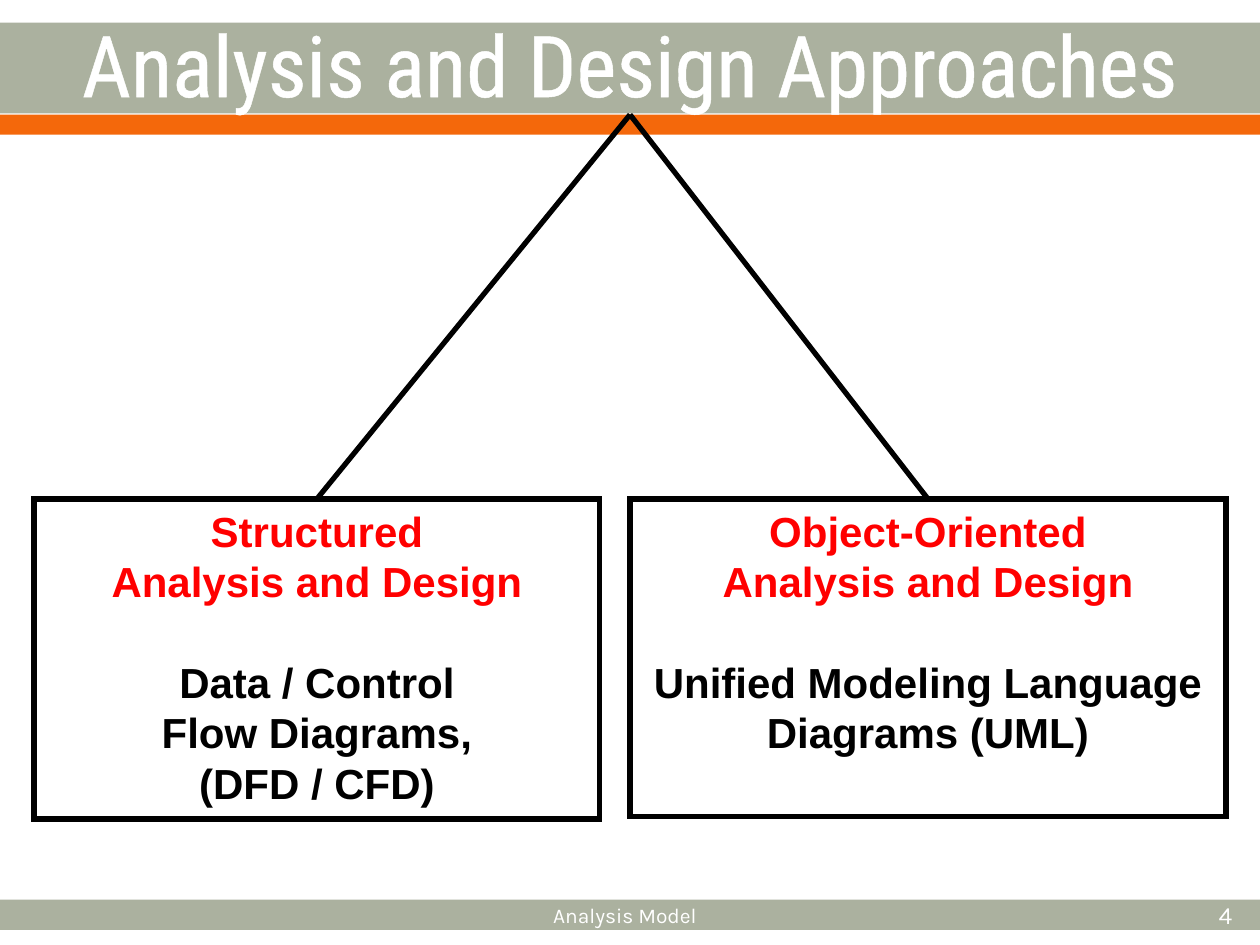
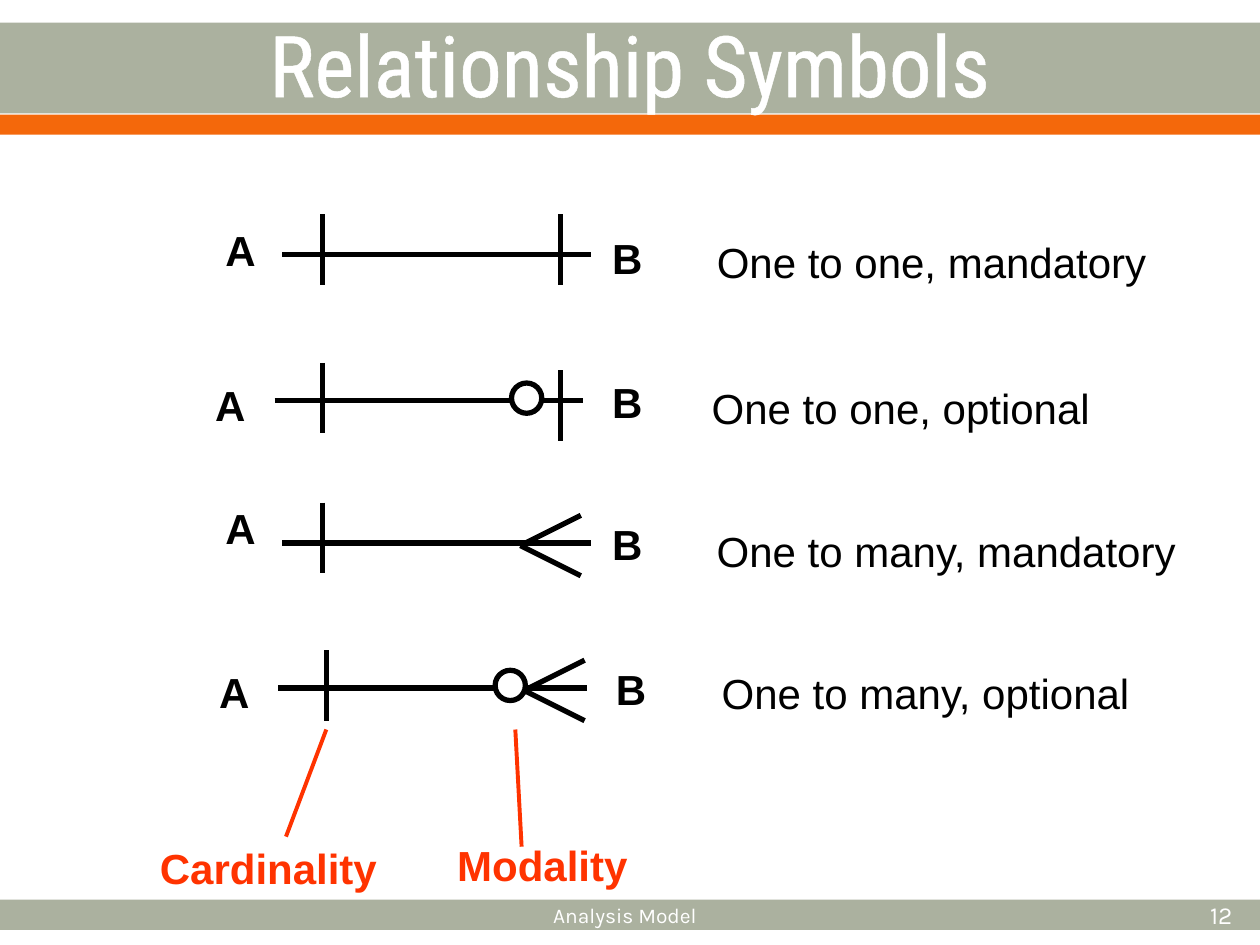
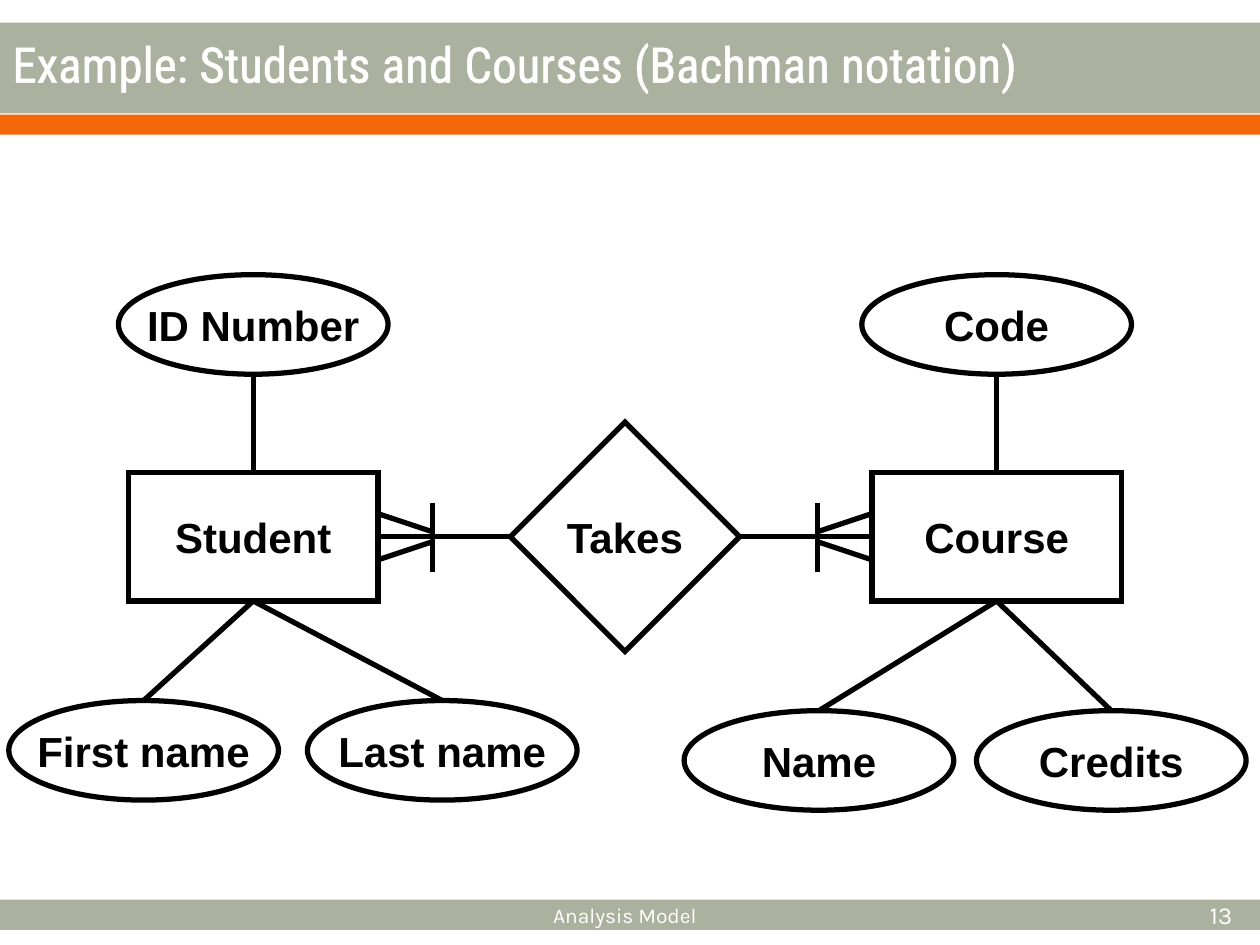
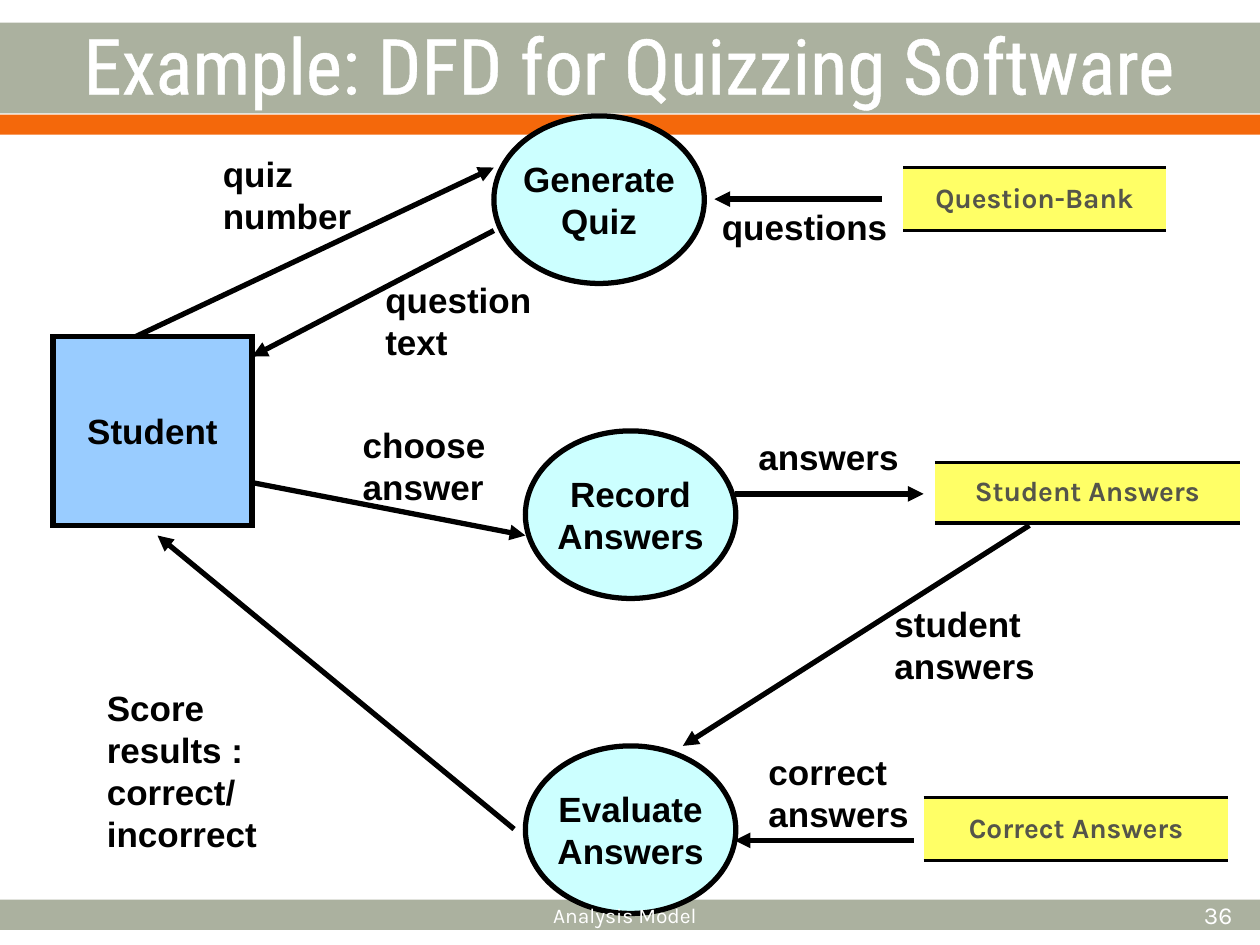
"""Build four slides on analysis models."""
import dataclasses
import pptx
import pptx.dml.color
import pptx.enum.shapes
import pptx.enum.text
import pptx.oxml
import pptx.oxml.ns
import pptx.util
from lxml import etree

Inches, Pt = pptx.util.Inches, pptx.util.Pt
KIND = pptx.enum.shapes.MSO_SHAPE
ALIGN = pptx.enum.text.PP_ALIGN
ANCHOR = pptx.enum.text.MSO_ANCHOR
FIT = pptx.enum.text.MSO_AUTO_SIZE


@dataclasses.dataclass(frozen=True)
class Theme:
    sage: str = "ABB19F"
    orange: str = "F4680B"
    white: str = "FFFFFF"
    black: str = "000000"
    red: str = "FF0000"
    note: str = "FF3300"
    blue: str = "99CCFF"
    aqua: str = "CCFFFF"
    yellow: str = "FFFF66"
    gray: str = "55554A"
    head: str = "Roboto Condensed"
    body: str = "Arial"
    foot: str = "Karla"
    big: float = 24
    mid: float = 20
    line: float = 3
    thin: float = 2.25


T = Theme()
BOLD = dict(name=T.body, size=Pt(T.big), bold=True)
PLAIN = BOLD | dict(bold=False)
FLOW = BOLD | dict(size=Pt(T.mid))
STORE = dict(name=T.foot, size=Pt(16), bold=True)

BANDS = [
    ((0, 7.14, 10, 0.24), T.sage),
    ((0, 0.11, 10, 1.59), T.white),
    ((0, 0.18, 10, 0.72), T.sage),
    ((0, 0.91, 10, 0.16), T.orange),
]
TITLE = (0, 0.19, 10, 0.62)

WAYS = [
    ((0.27, 3.96, 4.49, 2.54),
     ["Structured\nAnalysis and Design", "Data / Control", "Flow Diagrams,", "(DFD / CFD)"]),
    ((5, 3.96, 4.73, 2.52),
     ["Object-Oriented\nAnalysis and Design", "Unified Modeling Language", "Diagrams (UML)"]),
]

LINKS = [
    dict(text="One to one, mandatory", at=(5.59, 1.83, 3.61, 0.5), line=(2.24, 2.02),
         a=(1.69, 1.73), b=(4.76, 1.8), bars=[(2.56, 1.7), (4.45, 1.7)]),
    dict(text="One to one, optional", at=(5.55, 2.99, 3.2, 0.5), line=(2.18, 3.18),
         a=(1.61, 2.96), b=(4.76, 2.94), bars=[(2.56, 2.88), (4.45, 2.94)], ring=(4.06, 3.04)),
    dict(text="One to many, mandatory", at=(5.59, 4.12, 3.87, 0.5), line=(2.24, 4.31),
         a=(1.69, 3.94), b=(4.76, 4.07), bars=[(2.56, 3.99)], fork=(4.13, 4.33)),
    dict(text="One to many, optional", at=(5.63, 5.25, 3.46, 0.5), line=(2.21, 5.46),
         a=(1.64, 5.24), b=(4.79, 5.22), bars=[(2.59, 5.16)], ring=(3.93, 5.32),
         fork=(4.16, 5.48)),
]
NOTES = [
    ("Cardinality", (1.17, 6.64, 1.92, 0.5), (2.59, 5.79), (2.27, 6.64)),
    ("Modality", (3.53, 6.61, 1.55, 0.5), (4.09, 5.79), (4.14, 6.72)),
]

ENTITIES = [
    ("Student", 2.01, 1, "ID Number", 5.56, [("First name", 1.14), ("Last name", 3.51)]),
    ("Course", 7.91, -1, "Code", 5.64, [("Name", 6.5), ("Credits", 8.82)]),
]

STEPS = [
    (["Generate", "Quiz"], 3.92, 0.92),
    (["Record", "Answers"], 4.17, 3.42),
    (["Evaluate", "Answers"], 4.17, 5.92),
]
STORES = [
    ("Question-Bank", (7.17, 1.33, 2.08, 0.5)),
    ("Student Answers", (7.42, 3.67, 2.42, 0.48)),
    ("Correct Answers", (7.33, 6.33, 2.42, 0.5)),
]
FLOWS = [
    (["question\ntext"], (2.96, 2.16, 1.4, 0.77), (3.92, 1.83), (2, 2.83)),
    (["quiz", "number"], (1.67, 1.16, 1.26, 0.77), (1.08, 2.67), (3.92, 1.33)),
    (["questions"], (5.63, 1.58, 1.55, 0.43), (7, 1.58), (5.67, 1.58)),
    (["answers"], (5.92, 3.41, 1.35, 0.43), (5.83, 3.92), (7.33, 3.92)),
    (["choose", "answer"], (2.78, 3.31, 1.22, 0.77), (2, 3.83), (4.17, 4.25)),
    (["Score results :", "correct/", "incorrect"], (0.75, 5.4, 2.1, 1.43),
     (4.08, 6.58), (1.25, 4.25)),
    (["correct", "answers"], (6, 5.91, 1.35, 0.77), (7.25, 6.67), (5.83, 6.67)),
    (["student", "answers"], (7, 4.73, 1.35, 0.77), (8.17, 4.17), (5.42, 5.92)),
]


def rgb(hue):
    return pptx.dml.color.RGBColor.from_string(hue)


def put(obj, **vals):
    for key, val in vals.items():
        setattr(obj, key, val)


def sub(root, tag, **vals):
    return etree.SubElement(root, pptx.oxml.ns.qn(tag), **vals)


def ink(para, font, hue):
    for run in para.runs:
        put(run.font, **font)
        run.font.color.rgb = rgb(hue)


def write(frame, lines, font, hue=T.black, align=ALIGN.LEFT, **form):
    put(frame, **form)
    for i, line in enumerate(lines):
        para = frame.add_paragraph() if i else frame.paragraphs[0]
        put(para, text=line, alignment=align)
        ink(para, font, hue)


def block(page, kind, at, fill=None, edge=T.black):
    shape = page.shapes.add_shape(kind, *map(Inches, at))
    shape.shadow.inherit = False
    if fill:
        shape.fill.solid()
        shape.fill.fore_color.rgb = rgb(fill)
    else:
        shape.fill.background()
    if edge:
        shape.line.width = Pt(T.line)
        shape.line.color.rgb = rgb(edge)
        sub(shape.line._get_or_add_ln(), "a:miter", lim="800000")
    else:
        shape.line.fill.background()
    return shape


def node(page, kind, at, lines, font=BOLD, fill=None):
    shape = block(page, kind, at, fill)
    write(shape.text_frame, lines, font, align=ALIGN.CENTER,
          word_wrap=False, vertical_anchor=ANCHOR.MIDDLE)
    return shape


def label(page, at, lines, font, hue=T.black, align=ALIGN.LEFT, **form):
    box = page.shapes.add_textbox(*map(Inches, at))
    write(box.text_frame, lines, font, hue, align,
          **(dict(word_wrap=False, auto_size=FIT.SHAPE_TO_FIT_TEXT) | form))
    return box


def line(page, start, end, hue=T.black, width=T.line, arrow=False):
    link = page.shapes.add_connector(
        pptx.enum.shapes.MSO_CONNECTOR.STRAIGHT, *map(Inches, (*start, *end)))
    link.line.width = Pt(width)
    link.line.color.rgb = rgb(hue)
    if arrow:
        sub(link.line._get_or_add_ln(), "a:tailEnd", type="triangle")
    sub(link._element.spPr, "a:effectLst")
    return link


def store(page, name, at):
    grid = page.shapes.add_table(1, 1, *map(Inches, at)).table
    put(grid, first_row=False, horz_banding=False)
    cell = grid.cell(0, 0)
    cell.vertical_anchor = ANCHOR.MIDDLE
    write(cell.text_frame, [name], STORE, T.gray, ALIGN.CENTER)
    cell.fill.solid()
    cell.fill.fore_color.rgb = rgb(T.yellow)
    prop = cell._tc.get_or_add_tcPr()
    for i, side in enumerate("LRTB"):
        edge = sub(prop, f"a:ln{side}", w=str(Pt(T.thin)))
        if side in "TB":
            sub(sub(edge, "a:solidFill"), "a:srgbClr", val=T.black)
        else:
            sub(edge, "a:noFill")
        prop.insert(i, edge)


def frame(page, title, num, size=48.6, align=ALIGN.CENTER, at=TITLE):
    flat = dict(word_wrap=True, auto_size=FIT.NONE, vertical_anchor=ANCHOR.MIDDLE)
    box = label(page, at, [title], dict(name=T.head, size=Pt(size)), T.white, align, **flat)
    prop = box.text_frame.paragraphs[0].runs[0]._r.get_or_add_rPr()
    edge = sub(prop, "a:ln", w=str(Pt(1.1)))
    sub(sub(edge, "a:solidFill"), "a:srgbClr", val=T.white)
    prop.insert(0, edge)
    for text, spot, pts, side in [
            ("Analysis Model", (2.32, 7.06, 5.28, 0.4), 12, ALIGN.CENTER),
            (str(num), (8.15, 7.06, 1.73, 0.4), 14, ALIGN.RIGHT)]:
        label(page, spot, [text], dict(name=T.foot, size=Pt(pts)), T.white, side, **flat)


def ways(page):
    for at, lines in WAYS:
        box = block(page, KIND.RECTANGLE, at)
        write(box.text_frame, lines, BOLD, align=ALIGN.CENTER,
              word_wrap=True, vertical_anchor=ANCHOR.TOP)
        top, gap = box.text_frame.paragraphs[:2]
        ink(top, BOLD, T.red)
        gap.space_before = Pt(28.8)
        line(page, (5, 0.91), at[:2]).end_connect(box, 0)
    frame(page, "Analysis and Design Approaches", 4)


def links(page):
    for row in LINKS:
        x, y = row["line"]
        line(page, (x, y), (x + 2.45, y))
        for x, y in row["bars"]:
            line(page, (x, y), (x, y + 0.56))
        if "ring" in row:
            block(page, KIND.OVAL, (*row["ring"], 0.24, 0.24), T.white)
        if "fork" in row:
            x, y = row["fork"]
            for rise in (-0.24, 0.24):
                line(page, (x, y), (x + 0.48, y + rise))
        for end in "ab":
            label(page, (*row[end], 0.44, 0.5), [end.upper()], BOLD)
        label(page, row["at"], [row["text"]], PLAIN)
    for text, at, start, end in NOTES:
        label(page, at, [text], BOLD, T.note)
        line(page, start, end, T.note, T.thin)
    frame(page, "Relationship Symbols", 12)


def oval(page, text, mid, top):
    return node(page, KIND.OVAL, (mid - 1.07, top, 2.14, 0.79), [text])


def bachman(page):
    y = 4.26
    takes = node(page, KIND.FLOWCHART_DECISION, (4.05, 3.35, 1.82, 1.82), ["Takes"])
    for name, mid, way, key, low, parts in ENTITIES:
        bar = mid + way * 1.42
        for sign in (-1, 1):
            line(page, (mid + way * 0.94, y + sign * 0.2), (bar, y + sign * 0.04))
        line(page, (bar, y - 0.27), (bar, y + 0.28))
        box = node(page, KIND.RECTANGLE, (mid - 0.99, 3.75, 1.98, 1.02), [name], fill=T.white)
        oval(page, key, mid, 2.18)
        line(page, (mid, 3.75), (mid, 2.98)).begin_connect(box, 0)
        for text, x in parts:
            part = oval(page, text, x, low)
            link = line(page, (mid, 4.77), (x, low))
            link.begin_connect(box, 2)
            link.end_connect(part, 0)
        link = line(page, (mid, y), (4.96, y))
        link.begin_connect(box, 2 + way)
        link.end_connect(takes, 2 - way)
    frame(page, "Example: Students and Courses (Bachman notation)", 13, 28, ALIGN.LEFT)


def quiz(page):
    node(page, KIND.RECTANGLE, (0.42, 2.67, 1.58, 1.5), ["Student"], FLOW, T.blue)
    for lines, x, y in STEPS:
        node(page, KIND.OVAL, (x, y, 1.67, 1.33), lines, FLOW, T.aqua)
    for name, at in STORES:
        store(page, name, at)
    for lines, at, start, end in FLOWS:
        label(page, at, lines, FLOW, word_wrap=len(lines) > 2)
        line(page, start, end, arrow=True)
    frame(page, "Example: DFD for Quizzing Software", 36, 44, at=(0, 0.05, 10, 0.91))


def main():
    deck = pptx.Presentation()
    put(deck, slide_width=Inches(10), slide_height=Inches(7.5))
    blank = deck.slide_layouts[6]
    for i, draw in enumerate((ways, links, bachman, quiz)):
        page = deck.slides.add_slide(blank)
        if i == 0:
            for at, hue in BANDS:
                band = block(page, KIND.RECTANGLE, at, hue, None)
                blank.shapes.element.append(band.element)
        draw(page)
    deck.save("out.pptx")


if __name__ == "__main__":
    main()
